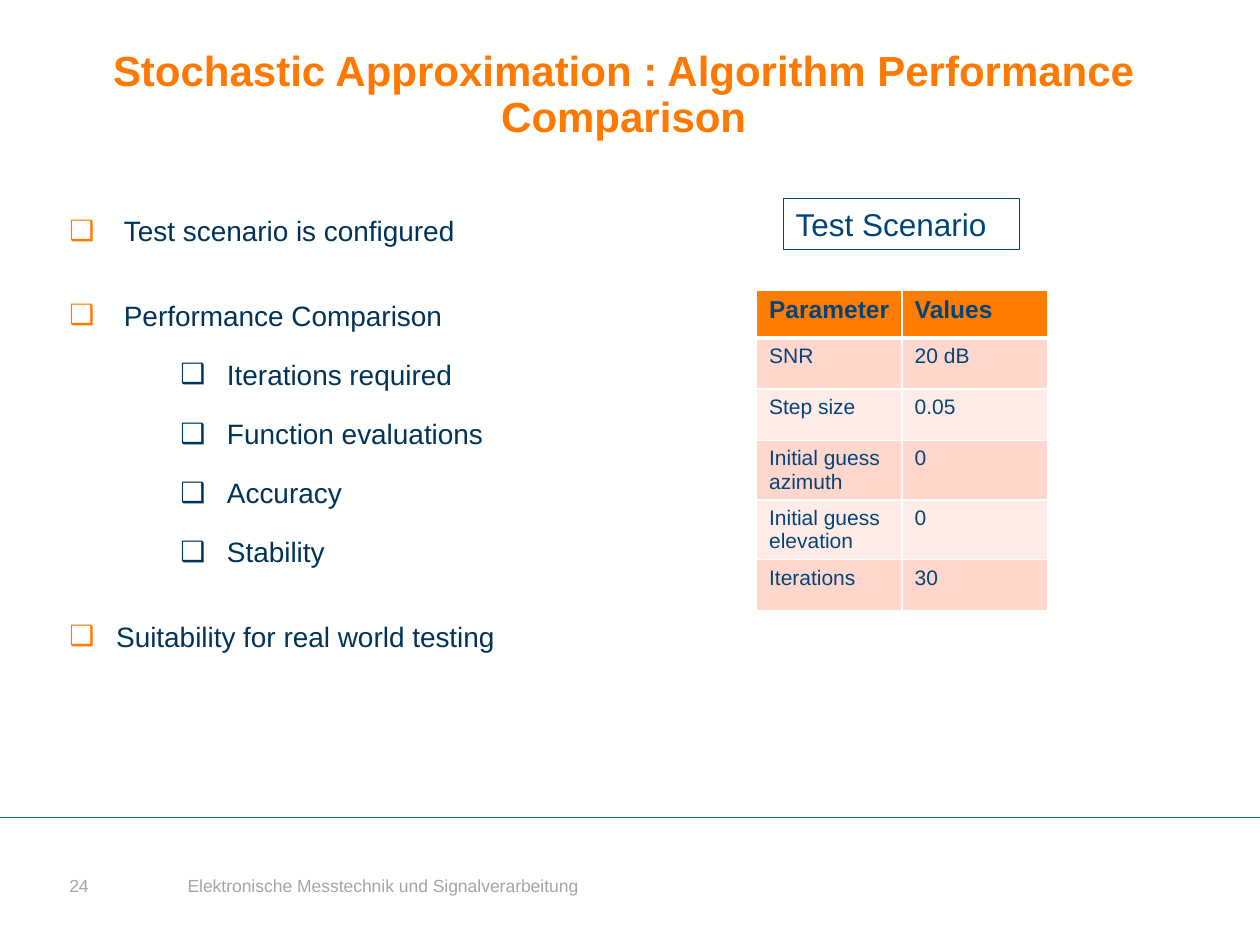
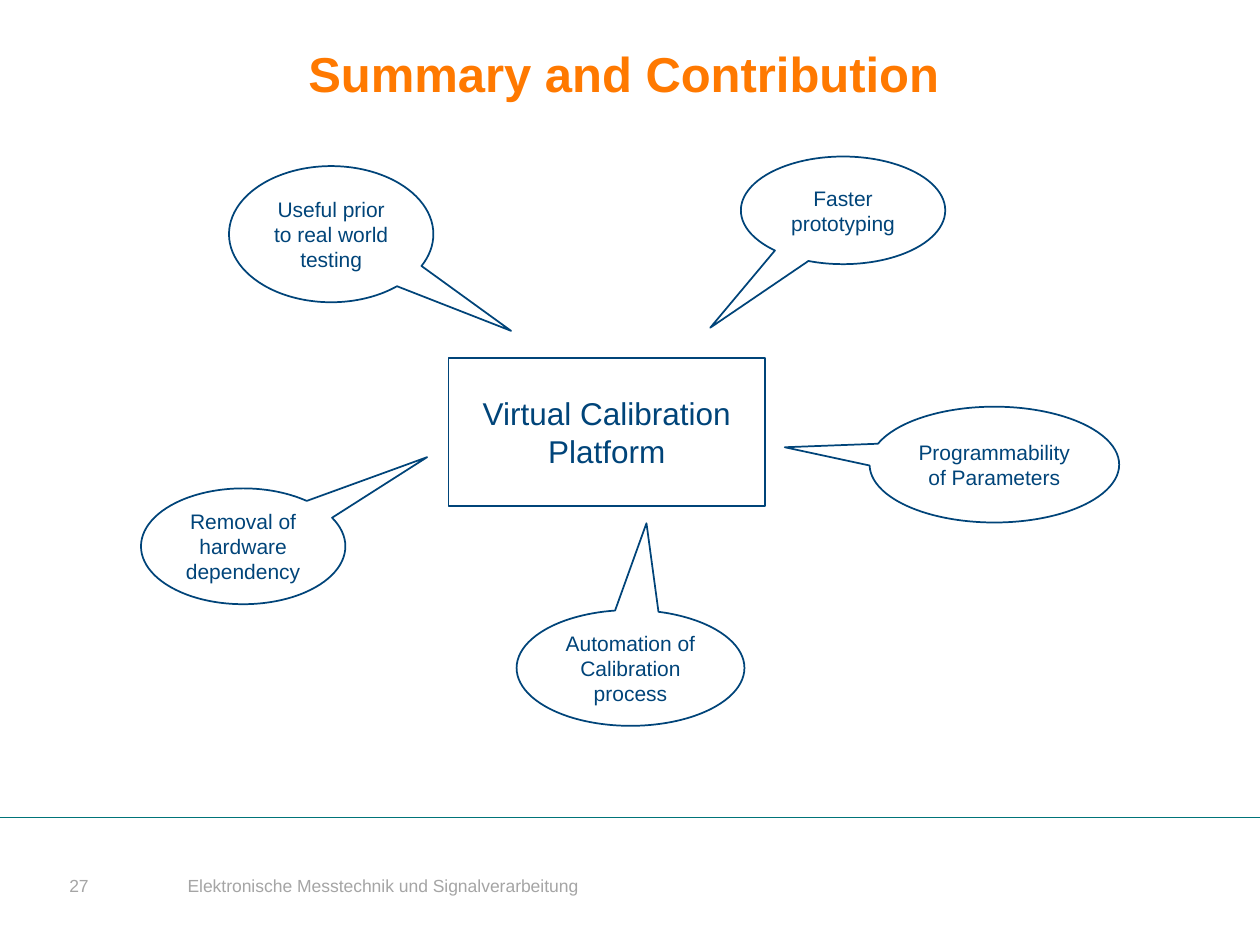
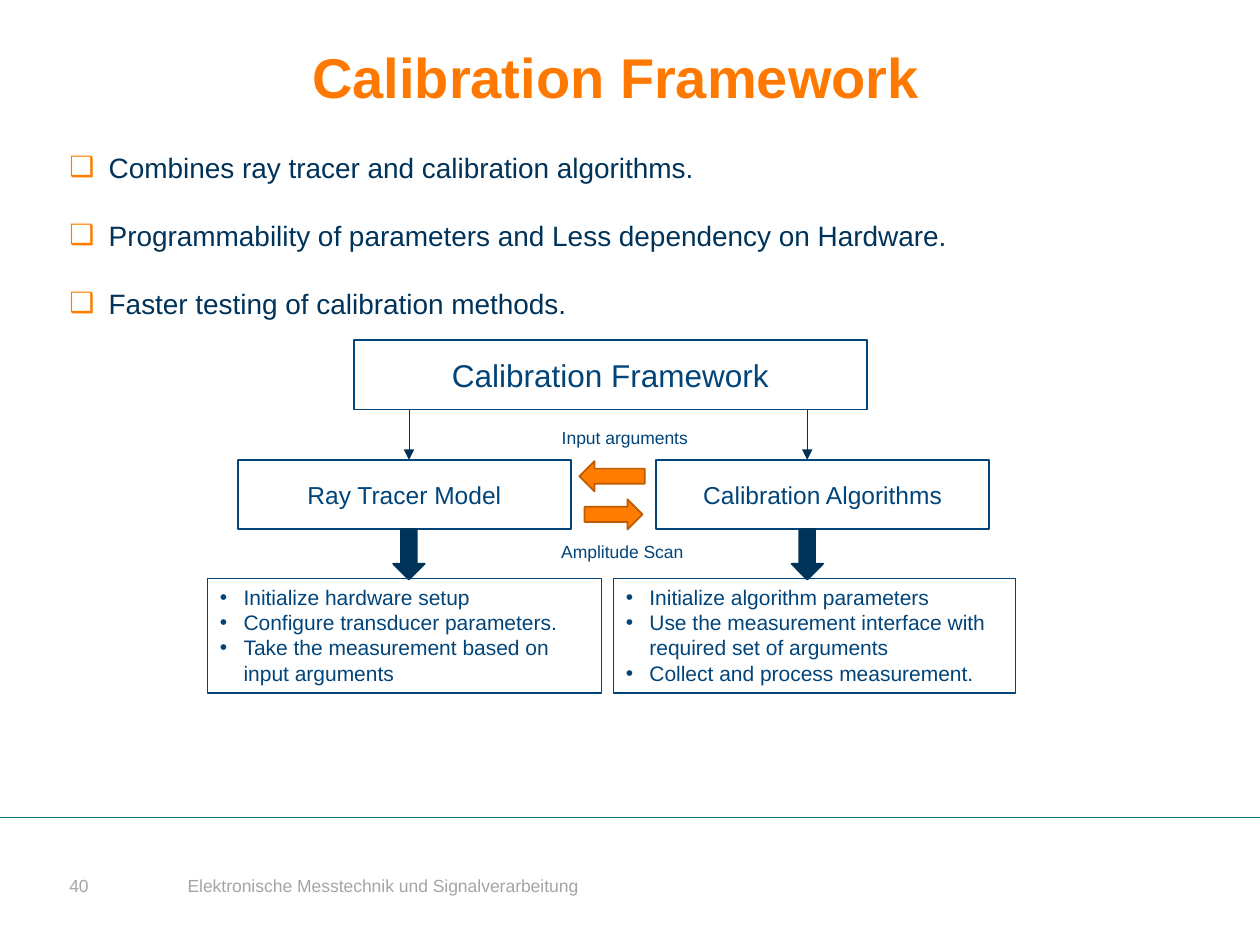
from dataclasses import dataclass

from lxml.etree import SubElement
from pptx import Presentation
from pptx.dml.color import RGBColor as Color
from pptx.enum.shapes import MSO_CONNECTOR as Connector, MSO_SHAPE as Shape
from pptx.enum.text import MSO_ANCHOR as Anchor, MSO_AUTO_SIZE as AutoSize, PP_ALIGN as Align
from pptx.oxml.ns import qn
from pptx.util import Pt


@dataclass(frozen=True)
class Theme:
    font: str = "Arial"
    title: str = "FF7900"
    accent: str = "FF7C00"
    accent_dark: str = "BD5C00"
    navy: str = "003359"
    blue: str = "004479"
    rule: str = "007479"
    grey: str = "A5A5A5"
    white: str = "FFFFFF"
    bands: tuple = ("FFD7CC", "FFECE7")
    caption: int = 10
    small: int = 12
    label: int = 14
    body: int = 16
    heading: int = 18
    title_small: int = 24
    title_medium: int = 28
    title_large: int = 32


THEME = Theme()
FOOTER = "Elektronische Messtechnik und Signalverarbeitung"
DEFAULT_INSETS = (7.2, 3.6, 7.2, 3.6)


def apply(target, formats):
    for name, value in formats.items():
        setattr(target, name, value)


def points(values):
    return [Pt(value) for value in values]


def add_bullet(paragraph, character, bullet_at, text_at, color=None):
    """Hang the text at text_at behind a bullet at bullet_at, both in points."""
    properties = paragraph._p.get_or_add_pPr()
    properties.set("marL", str(Pt(text_at)))
    properties.set("indent", str(Pt(bullet_at) - Pt(text_at)))
    if color:
        SubElement(SubElement(properties, qn("a:buClr")), qn("a:srgbClr"), val=color)
    SubElement(properties, qn("a:buFont"), typeface=THEME.font)
    SubElement(properties, qn("a:buChar"), char=character)


def add_cell_borders(cell, bottom, top):
    properties = cell._tc.get_or_add_tcPr()
    for side, width in (("L", 1), ("R", 1), ("T", top), ("B", bottom)):
        line = SubElement(properties, qn(f"a:ln{side}"), w=str(Pt(width)))
        fill = SubElement(line, qn("a:solidFill"))
        SubElement(fill, qn("a:srgbClr"), val=THEME.white)


class Deck:
    def __init__(self, theme):
        self.theme = theme
        self.presentation = Presentation()
        apply(self.presentation, {"slide_width": Pt(720), "slide_height": Pt(540)})
        self.slide = None

    def add_slide(self, number, title, size, height, width=640.8, has_body=True):
        layout = self.presentation.slide_layouts[1 if has_body else 5]
        self.slide = self.presentation.slides.add_slide(layout)
        self.place(self.slide.shapes.title, (39.6, 28.8, width, height))
        self.fill_text(self.slide.shapes.title.text_frame, [title], size, self.theme.title,
                       bold=True, align=Align.CENTER, spacing=0.9, insets=(0, 0, 7.2, 3.6))
        self.line((0, 467.3), (720, 467.3), self.theme.rule)
        self.text((39.6, 491.8, 60.5, 28.8), number, self.theme.caption, self.theme.grey,
                  anchor=Anchor.MIDDLE, insets=(0, 3.6, 7.2, 3.6))
        self.text((100.1, 491.8, 373, 28.8), FOOTER, self.theme.caption, self.theme.grey,
                  anchor=Anchor.MIDDLE)

    def place(self, shape, box):
        apply(shape, dict(zip(("left", "top", "width", "height"), points(box))))

    def fill_text(self, frame, lines, size, color, bold=False, align=Align.LEFT,
                  anchor=Anchor.TOP, spacing=1.0, insets=DEFAULT_INSETS):
        apply(frame, {"word_wrap": True, "auto_size": AutoSize.NONE, "vertical_anchor": anchor})
        sides = ("margin_left", "margin_top", "margin_right", "margin_bottom")
        apply(frame, dict(zip(sides, points(insets))))
        for index, line in enumerate(lines):
            paragraph = frame.add_paragraph() if index else frame.paragraphs[0]
            apply(paragraph, {"alignment": align, "line_spacing": spacing,
                              "space_before": Pt(0), "space_after": Pt(0)})
            run = paragraph.add_run()
            run.text = line
            self.style_font(run.font, size, color, bold)
        return frame.paragraphs

    def style_font(self, font, size, color, bold=False):
        apply(font, {"name": self.theme.font, "size": Pt(size), "bold": bold})
        font.color.rgb = Color.from_string(color)

    def text(self, box, text, size, color, **options):
        shape = self.slide.shapes.add_textbox(*points(box))
        self.fill_text(shape.text_frame, [text], size, color, **options)

    def body(self, box, items, spacing):
        """Fill the body placeholder with (text, level, text position) items."""
        placeholder = self.slide.placeholders[1]
        self.place(placeholder, box)
        paragraphs = self.fill_text(placeholder.text_frame, [item[0] for item in items],
                                    self.theme.body, self.theme.navy, insets=(0, 0, 0, 0))
        for index, (paragraph, (_, level, text_at)) in enumerate(zip(paragraphs, items)):
            apply(paragraph, {"level": level, "line_spacing": 1.5 if level else spacing,
                              "space_before": Pt((5 if level else 10) if index else 0)})
            add_bullet(paragraph, "❑", 63.4 if level else 0, text_at,
                       None if level else self.theme.accent)

    def shape(self, kind, box, fill=None, line=None, line_width=1.0, adjustments=()):
        shape = self.slide.shapes.add_shape(kind, *points(box))
        shape.shadow.inherit = False
        if fill:
            shape.fill.solid()
            shape.fill.fore_color.rgb = Color.from_string(fill)
        else:
            shape.fill.background()
        shape.line.color.rgb = Color.from_string(line or self.theme.blue)
        shape.line.width = Pt(line_width)
        for index, value in enumerate(adjustments):
            shape.adjustments[index] = value
        return shape

    def node(self, box, text, size, kind=Shape.RECTANGLE, adjustments=()):
        shape = self.shape(kind, box, self.theme.white, adjustments=adjustments)
        self.fill_text(shape.text_frame, [text], size, self.theme.blue,
                       align=Align.CENTER, anchor=Anchor.MIDDLE)

    def frame(self, box, lines, size, bulleted=False):
        shape = self.shape(Shape.RECTANGLE, box, line_width=0.75)
        for paragraph in self.fill_text(shape.text_frame, lines, size, self.theme.blue):
            if bulleted:
                add_bullet(paragraph, "•", 0, 13.5)

    def line(self, start, end, color, arrow=False):
        connector = self.slide.shapes.add_connector(
            Connector.STRAIGHT, *points(start + end))
        connector.line.color.rgb = Color.from_string(color)
        connector.line.width = Pt(0.5)
        properties = connector._element.spPr
        if arrow:
            SubElement(properties.find(qn("a:ln")), qn("a:tailEnd"), type="triangle")
        SubElement(properties, qn("a:effectLst"))

    def table(self, left, top, column_width, row_heights, rows):
        width = column_width * len(rows[0])
        table = self.slide.shapes.add_table(
            len(rows), len(rows[0]),
            *points((left, top, width, sum(row_heights)))).table
        for column in table.columns:
            column.width = Pt(column_width)
        for index, (row, height, values) in enumerate(zip(table.rows, row_heights, rows)):
            row.height = Pt(height)
            header = index == 0
            for cell, value in zip(row.cells, values):
                add_cell_borders(cell, bottom=3 if header else 1, top=3 if index == 1 else 1)
                cell.fill.solid()
                fill = self.theme.accent if header else self.theme.bands[(index - 1) % 2]
                cell.fill.fore_color.rgb = Color.from_string(fill)
                cell.text = value
                self.style_font(cell.text_frame.paragraphs[0].runs[0].font,
                                self.theme.label if header else self.theme.small,
                                self.theme.blue, header)


def add_comparison(deck):
    deck.add_slide("24", "Stochastic Approximation : Algorithm Performance Comparison",
                   THEME.title_small, 56.2)
    criteria = ("Iterations required", "Function evaluations", "Accuracy", "Stability")
    deck.body((39.6, 103, 646.6, 343.4), [
        ("Test scenario is configured", 0, 31.2),
        ("Performance Comparison", 0, 31.2),
        *((criterion, 1, 90.1) for criterion in criteria),
        ("Suitability for real world testing", 0, 26.8),
    ], spacing=2.0)
    deck.table(432.3, 165.6, 83.2, [27.6] + [29.2] * 5, [
        ("Parameter", "Values"),
        ("SNR", "20 dB"),
        ("Step size", "0.05"),
        ("Initial guess azimuth", "0"),
        ("Initial guess elevation", "0"),
        ("Iterations", "30"),
    ])
    deck.frame((447.6, 113.4, 135, 29.1), ["Test Scenario"], THEME.heading)


def add_summary(deck):
    deck.add_slide("27", "Summary and Contribution", THEME.title_medium, 33.8, has_body=False)
    deck.node((256.3, 204.5, 180.7, 84.6), "Virtual Calibration Platform", THEME.heading)
    contributions = (
        ("Useful prior to real world testing", (130.9, 94.9, 116.8, 77.8), (0.88, 0.71)),
        ("Faster prototyping", (423.4, 89.5, 116.8, 61.5), (-0.65, 1.09)),
        ("Removal of hardware dependency", (80.6, 279.1, 116.8, 66.2), (0.9, -0.77)),
        ("Programmability of Parameters", (496.9, 232.4, 142.6, 66.2), (-0.84, -0.15)),
        ("Automation of Calibration process", (295.2, 348.6, 130.2, 66.2), (0.07, -1.25)),
    )
    for text, box, pointer in contributions:
        deck.node(box, text, THEME.small, Shape.OVAL_CALLOUT, pointer)


def add_framework(deck):
    deck.add_slide("40", "Calibration Framework", THEME.title_large, 38.9, width=632)
    bullets = ("Combines ray tracer and calibration algorithms.",
               "Programmability of parameters and Less dependency on Hardware.",
               "Faster testing of calibration methods.")
    deck.body((39.6, 76.3, 640.8, 370), [(text, 0, 22.5) for text in bullets], spacing=1.5)

    deck.node((202.3, 194.4, 293, 39.6), "Calibration Framework", THEME.heading)
    branches = (
        ("Ray Tracer Model", 135.9, 233.7, (118.6, 225.2),
         ["Initialize hardware setup", "Configure transducer parameters.",
          "Take the measurement based on input arguments"]),
        ("Calibration Algorithms", 374.9, 461.3, (350.5, 229.7),
         ["Initialize algorithm parameters",
          "Use the measurement interface with required set of arguments",
          "Collect and process measurement."]),
    )
    for name, left, center, (list_left, list_width), tasks in branches:
        deck.line((center, 234), (center, 262.8), THEME.navy, arrow=True)
        deck.node((left, 262.8, 190.4, 39.6), name, THEME.label)
        deck.shape(Shape.DOWN_ARROW, (center - 9, 302.4, 18, 28.8), THEME.navy, THEME.navy)
        deck.frame((list_left, 330.5, list_width, 65.5), tasks, THEME.small, bulleted=True)

    exchanges = (
        (Shape.RIGHT_ARROW, (334.1, 285.3, 33.1, 17.3)),
        (Shape.LEFT_ARROW, (331.1, 263.5, 37.3, 17.3)),
    )
    for kind, box in exchanges:
        deck.shape(kind, box, THEME.accent, THEME.accent_dark)
    for text, top, width in (("Input arguments", 240.5, 113), ("Amplitude Scan", 305.5, 110.2)):
        deck.text((300.5, top, width, 19.4), text, THEME.caption, THEME.blue, align=Align.CENTER)


def main():
    deck = Deck(THEME)
    for add_content in (add_comparison, add_summary, add_framework):
        add_content(deck)
    deck.presentation.save("out.pptx")


if __name__ == "__main__":
    main()
